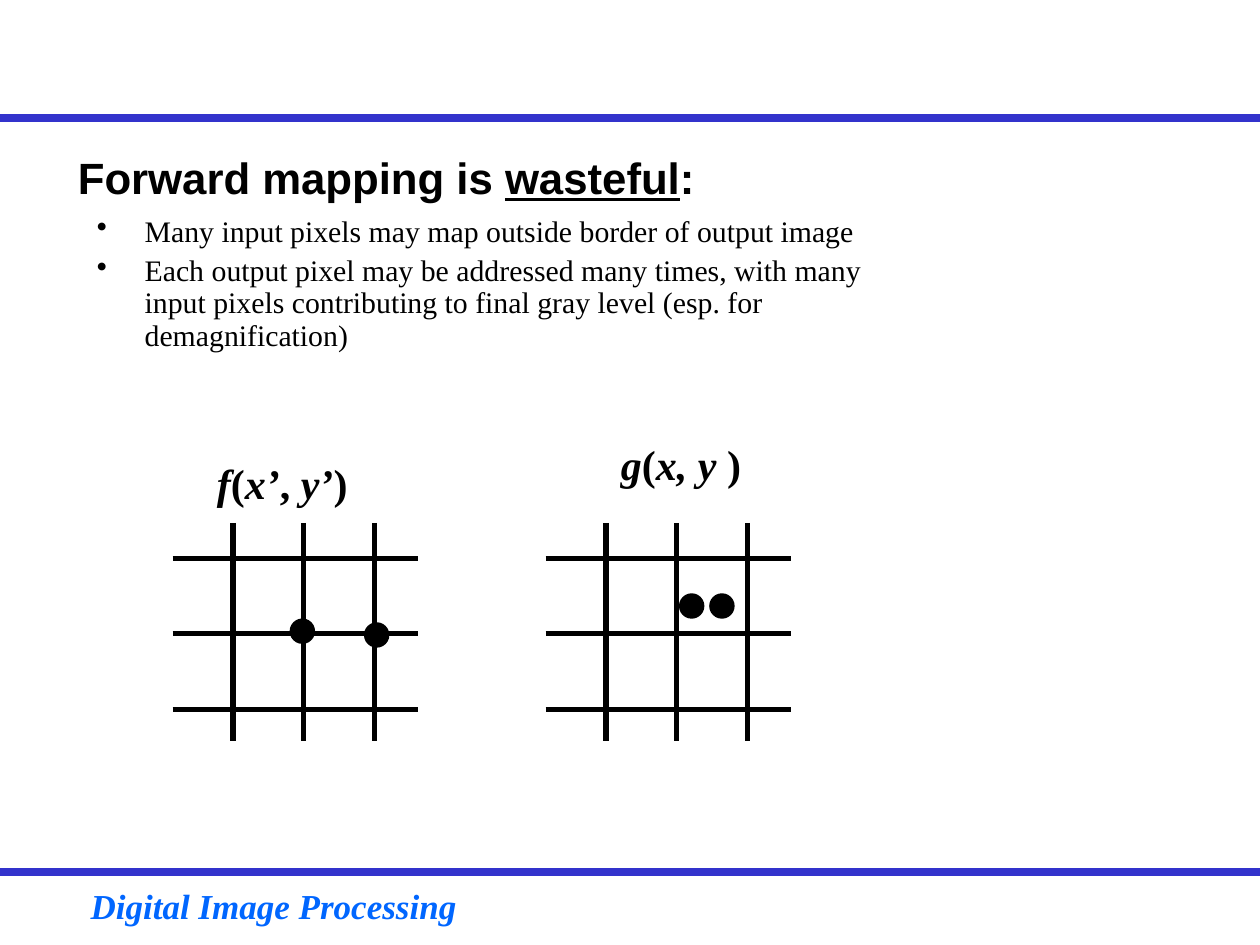
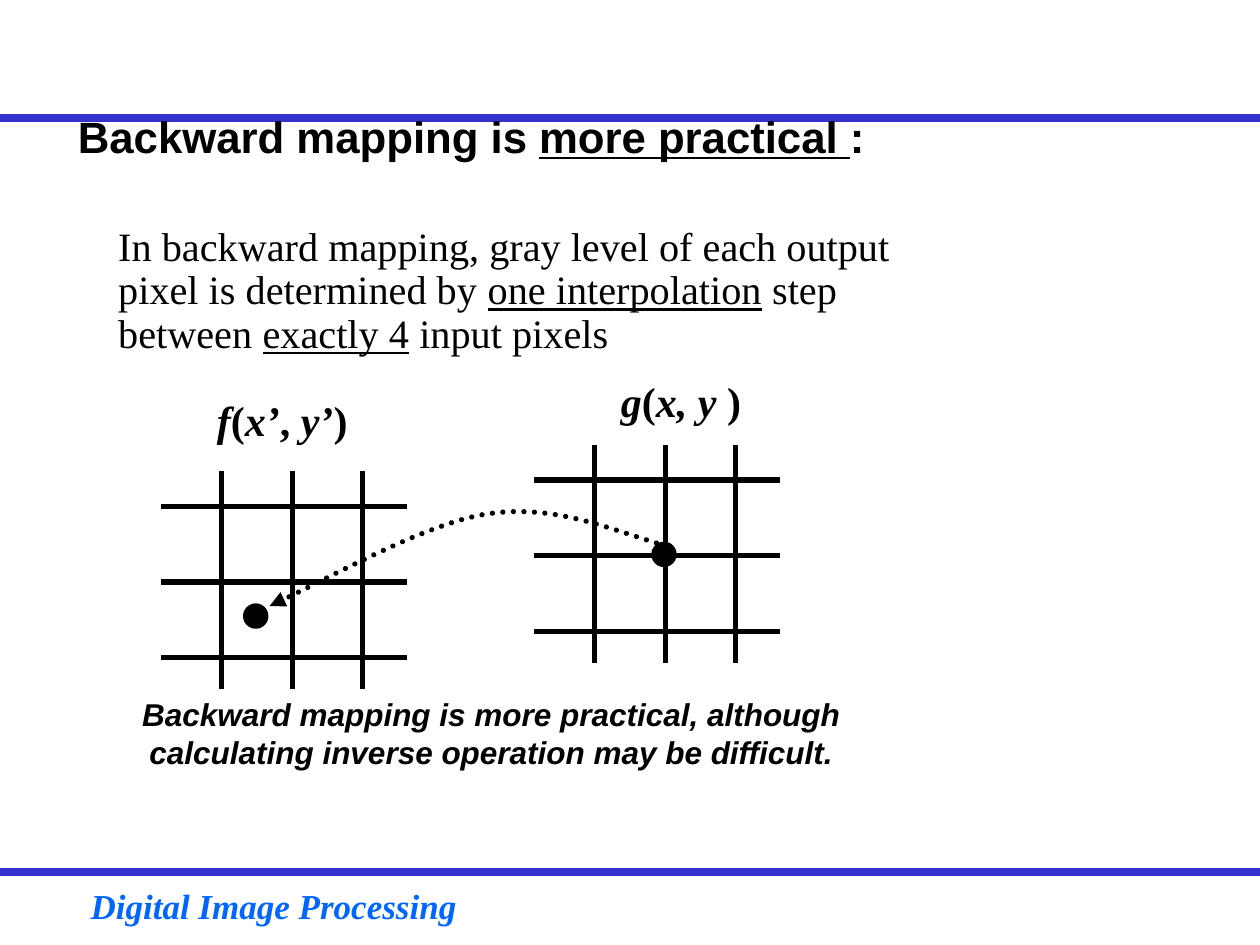
from dataclasses import dataclass
from typing import NamedTuple

from pptx import Presentation
from pptx.dml.color import RGBColor
from pptx.enum.dml import MSO_LINE
from pptx.enum.shapes import MSO_CONNECTOR, MSO_SHAPE
from pptx.enum.text import MSO_ANCHOR, MSO_AUTO_SIZE, PP_ALIGN
from pptx.oxml.ns import qn
from pptx.oxml.xmlchemy import OxmlElement
from pptx.shapes.autoshape import Shape
from pptx.shapes.connector import Connector
from pptx.slide import Slide
from pptx.util import Inches, Pt


@dataclass(frozen=True)
class Theme:
    ink: RGBColor = RGBColor(0x00, 0x00, 0x00)
    band: RGBColor = RGBColor(0x33, 0x33, 0xCC)
    footer: RGBColor = RGBColor(0x00, 0x66, 0xFF)
    sans: str = "Arial"
    serif: str = "Times New Roman"
    title_size: float = 25
    label_size: float = 24
    body_size: float = 23
    footer_size: float = 20
    note_size: float = 18
    bullet_size: float = 17
    band_width: float = 4.5
    ink_width: float = 3


THEME = Theme()


class Span(NamedTuple):
    text: str
    underline: bool = False
    italic: bool = False


class Place(NamedTuple):
    left: float
    top: float
    width: float
    height: float


class Point(NamedTuple):
    x: float
    y: float


@dataclass(frozen=True)
class PixelGrid:
    left: float
    top: float
    width: float = 1.95
    height: float = 1.73
    first_column: float = 0.48
    column_step: float = 0.56
    first_row: float = 0.28
    row_step: float = 0.6
    lines: int = 3


DOT_SIZE = 0.16
INPUT_LABEL = [Span("f", italic=True), Span("("), Span("x’", italic=True),
               Span(", "), Span("y’", italic=True), Span(")")]
OUTPUT_LABEL = [Span("g", italic=True), Span("("),
                Span("x, y ", italic=True), Span(")")]


def add_text(page: Slide, place: Place, paragraphs: list[list[Span]], *,
             size: float, font: str = THEME.serif, color: RGBColor = THEME.ink,
             bold: bool = False, align: PP_ALIGN = PP_ALIGN.LEFT,
             anchor: MSO_ANCHOR = MSO_ANCHOR.TOP, wrap: bool = True,
             grow: bool = True, line_spacing: float = 1.0,
             space_before: float = 0, bulleted: bool = False) -> Shape:
    box = page.shapes.add_textbox(*map(Inches, place))
    frame = box.text_frame
    frame.word_wrap = wrap
    frame.vertical_anchor = anchor
    frame.auto_size = MSO_AUTO_SIZE.SHAPE_TO_FIT_TEXT if grow else MSO_AUTO_SIZE.NONE
    for index, spans in enumerate(paragraphs):
        para = frame.add_paragraph() if index else frame.paragraphs[0]
        if bulleted:
            add_bullet(para)
        para.alignment = align
        para.line_spacing = line_spacing
        para.space_before = Pt(space_before if index else 0)
        for span in spans:
            run = para.add_run()
            run.text = span.text
            run.font.name = font
            run.font.size = Pt(size)
            run.font.bold = bold
            run.font.italic = span.italic
            run.font.underline = span.underline
            run.font.color.rgb = color
    return box


def add_bullet(para) -> None:
    properties = para._p.get_or_add_pPr()
    properties.set("marL", str(Inches(0.38)))
    properties.set("indent", str(-Inches(0.38)))
    bullet = OxmlElement("a:buChar")
    bullet.set("char", "•")
    properties.append(bullet)


def add_line(shapes, start: Point, end: Point, color: RGBColor = THEME.ink,
             width: float = THEME.ink_width) -> Connector:
    line = shapes.add_connector(MSO_CONNECTOR.STRAIGHT, *map(Inches, (*start, *end)))
    line.line.color.rgb = color
    line.line.width = Pt(width)
    line._element.spPr.append(OxmlElement("a:effectLst"))
    return line


def add_grid(page: Slide, grid: PixelGrid) -> None:
    group = page.shapes.add_group_shape()
    right, bottom = grid.left + grid.width, grid.top + grid.height
    for index in range(grid.lines):
        x = grid.left + grid.first_column + index * grid.column_step
        add_line(group.shapes, Point(x, grid.top), Point(x, bottom))
    for index in range(grid.lines):
        y = grid.top + grid.first_row + index * grid.row_step
        add_line(group.shapes, Point(grid.left, y), Point(right, y))


def add_dot(page: Slide, corner: Point) -> None:
    dot = page.shapes.add_shape(MSO_SHAPE.OVAL,
                                *map(Inches, (*corner, DOT_SIZE, DOT_SIZE)))
    dot.shadow.inherit = False
    dot.fill.solid()
    dot.fill.fore_color.rgb = THEME.ink
    dot.line.color.rgb = THEME.ink
    dot.line.width = Pt(THEME.ink_width)


def bezier(points: tuple[Point, ...], steps: int = 24) -> list[tuple[int, int]]:
    curve = []
    for step in range(1, steps + 1):
        t = step / steps
        weights = ((1 - t) ** 3, 3 * t * (1 - t) ** 2, 3 * t * t * (1 - t), t ** 3)
        curve.append((Inches(sum(w * p.x for w, p in zip(weights, points))),
                      Inches(sum(w * p.y for w, p in zip(weights, points)))))
    return curve


def add_mapping_arrow(page: Slide, points: list[Point]) -> None:
    builder = page.shapes.build_freeform(Inches(points[0].x), Inches(points[0].y))
    for first in range(0, len(points) - 1, 3):
        builder.add_line_segments(bezier(tuple(points[first:first + 4])), close=False)
    arrow = builder.convert_to_shape()
    arrow.shadow.inherit = False
    arrow.fill.background()
    arrow.line.color.rgb = THEME.ink
    arrow.line.width = Pt(THEME.ink_width)
    arrow.line.dash_style = MSO_LINE.ROUND_DOT
    outline = arrow._element.spPr.find(qn("a:ln"))
    outline.set("cap", "rnd")
    head = OxmlElement("a:tailEnd")
    head.set("type", "triangle")
    outline.append(head)


def add_page(deck) -> Slide:
    page = deck.slides.add_slide(deck.slide_layouts[6])
    for y in (0.94, 6.92):
        add_line(page.shapes, Point(0, y), Point(10, y), THEME.band, THEME.band_width)
    add_text(page, Place(0.62, 6.97, 3.15, 0.44),
             [[Span("Digital Image Processing", italic=True)]],
             size=THEME.footer_size, color=THEME.footer, bold=True)
    return page


def add_title(page: Slide, top: float, spans: list[Span]) -> None:
    add_text(page, Place(0.52, top, 6.64, 0.52), [spans],
             size=THEME.title_size, font=THEME.sans, bold=True)


def add_grid_labels(page: Slide, input_top: float) -> None:
    for place, spans in ((Place(1.62, input_top, 1.24, 0.5), INPUT_LABEL),
                         (Place(4.83, input_top - 0.15, 1.15, 0.5), OUTPUT_LABEL)):
        add_text(page, place, [spans], size=THEME.label_size, bold=True,
                 align=PP_ALIGN.CENTER, anchor=MSO_ANCHOR.MIDDLE, wrap=False)


def add_forward_page(deck) -> None:
    page = add_page(deck)
    add_text(page, Place(0.67, 1.67, 6.44, 1.83), [
        [Span("Many input pixels may map outside border of output image")],
        [Span("Each output pixel may be addressed many times, with many input pixels "
              "contributing to final gray level (esp. for demagnification)")],
    ], size=THEME.bullet_size, grow=False, line_spacing=0.9, space_before=4.2,
        bulleted=True)
    add_title(page, 1.15, [Span("Forward mapping is "),
                           Span("wasteful", underline=True), Span(":")])
    for left in (1.37, 4.33):
        add_grid(page, PixelGrid(left, 4.15))
    for corner in (Point(2.91, 4.96), Point(2.32, 4.93),
                   Point(5.41, 4.73), Point(5.65, 4.73)):
        add_dot(page, corner)
    add_grid_labels(page, 3.58)


def add_backward_page(deck) -> None:
    page = add_page(deck)
    add_title(page, 0.82, [Span("Backward mapping is "),
                           Span("more practical ", underline=True), Span(":")])
    add_text(page, Place(0.84, 1.75, 6.44, 1.83), [[
        Span("In backward mapping, gray level of each output pixel is determined by "),
        Span("one interpolation", underline=True),
        Span(" step between "),
        Span("exactly 4", underline=True),
        Span(" input pixels"),
    ]], size=THEME.body_size, grow=False, line_spacing=0.9)
    add_grid(page, PixelGrid(1.28, 3.74))
    add_grid(page, PixelGrid(4.24, 3.53))
    add_grid_labels(page, 3.08)
    for corner in (Point(1.95, 4.81), Point(5.19, 4.32)):
        add_dot(page, corner)
    add_mapping_arrow(page, [
        Point(5.21, 4.31), Point(4.79, 4.18), Point(4.37, 4), Point(3.86, 4.08),
        Point(3.35, 4.16), Point(2.5, 4.65), Point(2.14, 4.81)])
    add_text(page, Place(0.58, 5.47, 6.64, 0.7), [[
        Span("Backward mapping is more practical, although calculating inverse "
             "operation may be difficult.", italic=True)]],
        size=THEME.note_size, font=THEME.sans, bold=True, align=PP_ALIGN.CENTER)


def main() -> None:
    deck = Presentation()
    deck.slide_width, deck.slide_height = Inches(10), Inches(7.5)
    add_forward_page(deck)
    add_backward_page(deck)
    deck.save("out.pptx")


if __name__ == "__main__":
    main()
